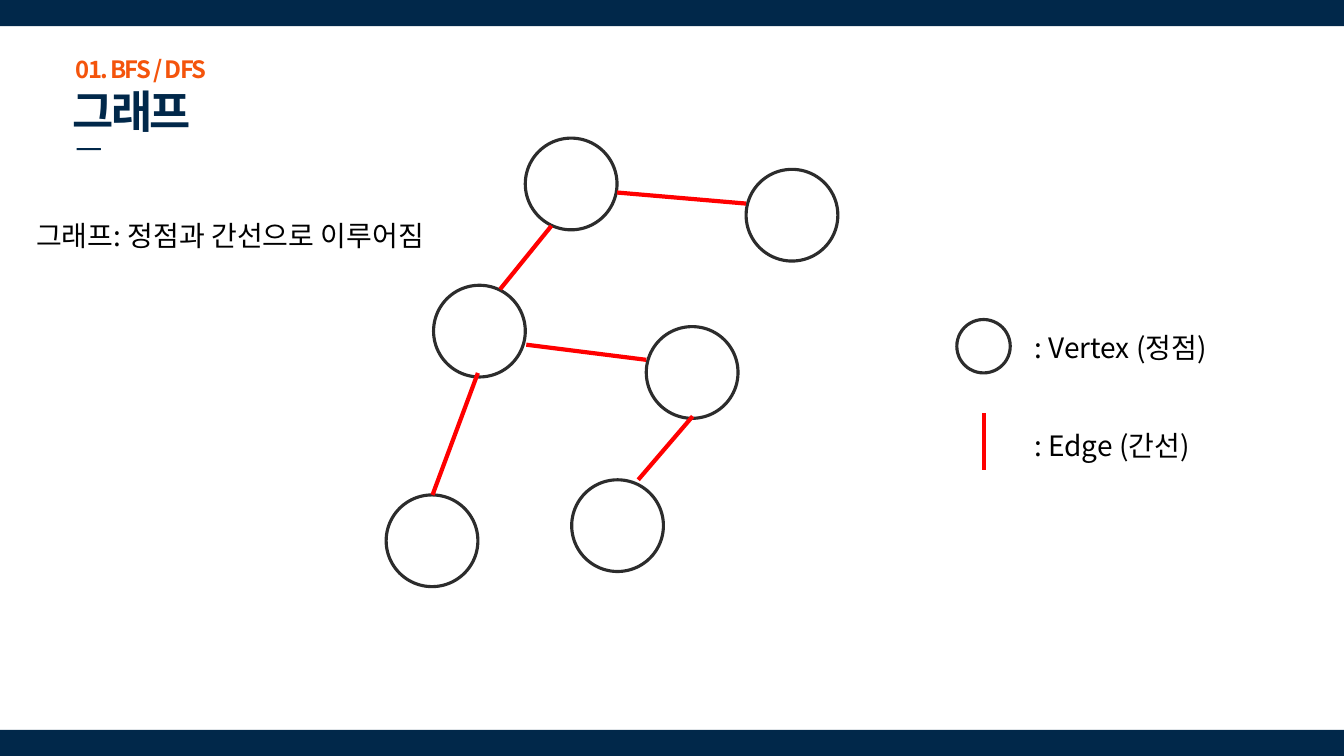
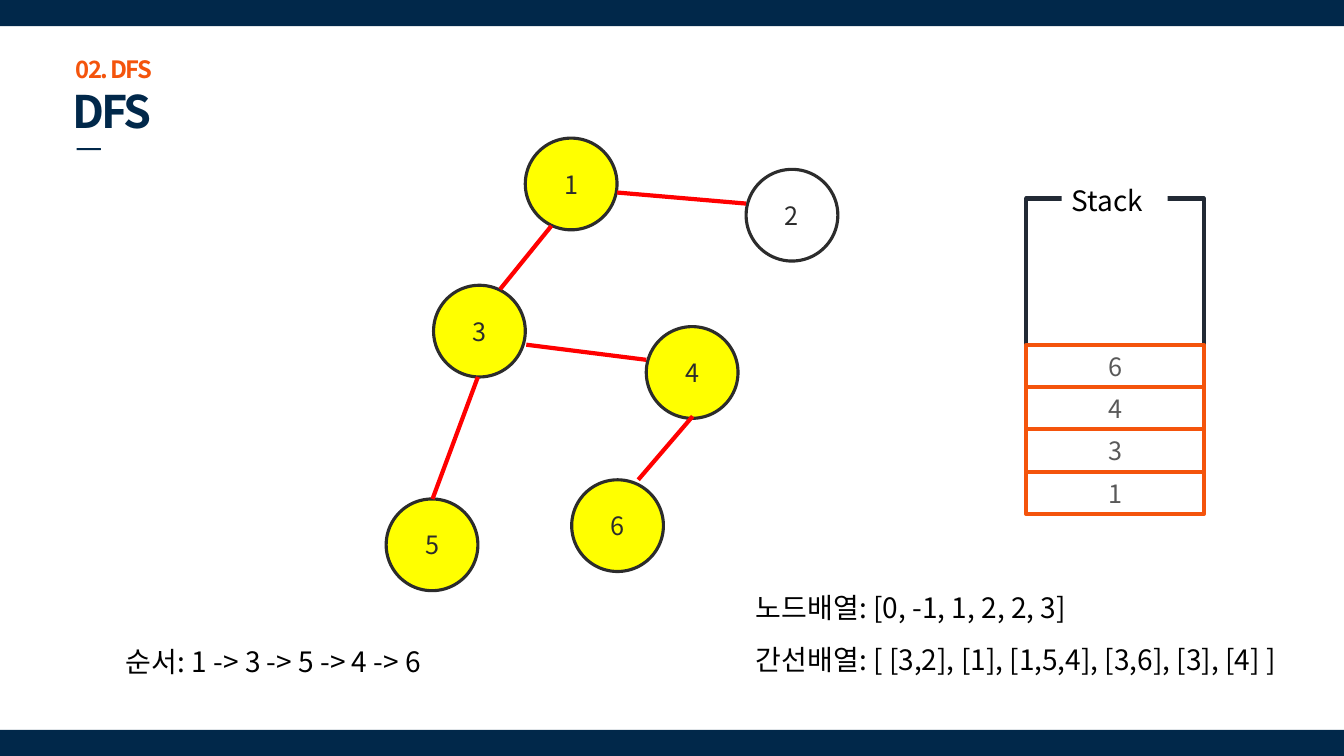
import pptx
import pptx.util
import pptx.dml.color
import pptx.enum.shapes
import pptx.enum.text
import pptx.oxml.ns
import lxml.etree

Inches = pptx.util.Inches
Pt = pptx.util.Pt
RGBColor = pptx.dml.color.RGBColor
SHAPE = pptx.enum.shapes.MSO_SHAPE
ALIGN = pptx.enum.text.PP_ALIGN
ANCHOR = pptx.enum.text.MSO_ANCHOR
qn = pptx.oxml.ns.qn

NAVY = RGBColor(0x01, 0x28, 0x4A)
ORANGE = RGBColor(0xF4, 0x54, 0x0C)
INK = RGBColor(0x2C, 0x2C, 0x2C)
GREY = RGBColor(0x59, 0x59, 0x59)
SLATE = RGBColor(0x22, 0x2A, 0x35)
RED = RGBColor(0xFF, 0x00, 0x00)
YELLOW = RGBColor(0xFF, 0xFF, 0x00)
WHITE = RGBColor(0xFF, 0xFF, 0xFF)
BLACK = RGBColor(0x00, 0x00, 0x00)

FONT = "Noto Sans CJK KR"
WIDTH, HEIGHT, BAND = 13.33, 7.5, 0.26
NODE = 0.91

# Top left corner of each vertex, by number
VERTICES = {1: (5.21, 1.37), 2: (7.4, 1.68), 3: (4.3, 2.83),
            4: (6.41, 3.24), 5: (3.83, 4.91), 6: (5.67, 4.76)}
EDGES = [((5.47, 2.24), (4.96, 2.87)), ((5.22, 3.42), (6.41, 3.57)),
         ((6.12, 1.91), (7.4, 2.02)), ((6.33, 4.76), (6.87, 4.13))]
LOW_EDGE = ((4.74, 3.7), (4.29, 4.91))


class Deck:
    """Holds the presentation, its style and the slide being built."""

    def __init__(self):
        self.prs = pptx.Presentation()
        self.prs.slide_width = Inches(WIDTH)
        self.prs.slide_height = Inches(HEIGHT)
        self.s = None

    def new_slide(self, section, title):
        self.s = self.prs.slides.add_slide(self.prs.slide_layouts[1])
        for top in (0, HEIGHT - BAND):
            self.shape(SHAPE.RECTANGLE, (0, top, WIDTH, BAND), NAVY)
        self.shape(SHAPE.ROUNDED_RECTANGLE, (0.76, 1.47, 0.24, 0.02), NAVY)
        heading, body = self.s.placeholders
        self.placeholder(body, (0.75, 0.57, 11.87, 0.66), section, 17, ORANGE, -1.2, ANCHOR.TOP)
        self.placeholder(heading, (0.72, 0.89, 11.89, 0.48), title, 32, NAVY, -2, ANCHOR.MIDDLE)

    def place(self, sp, box):
        sp.left, sp.top, sp.width, sp.height = map(Inches, box)

    def run(self, p, text, size, color):
        r = p.add_run()
        r.text = text
        r.font.size = Pt(size)
        r.font.name = FONT
        r.font.color.rgb = color
        latin = r.font._element.find(qn("a:latin"))
        ea = lxml.etree.Element(qn("a:ea"), typeface=FONT)
        latin.addnext(ea)
        return r

    def placeholder(self, sp, box, text, size, color, spacing, anchor):
        self.place(sp, box)
        tf = sp.text_frame
        tf.auto_size = pptx.enum.text.MSO_AUTO_SIZE.NONE
        tf.vertical_anchor = anchor
        tf.margin_left = tf.margin_right = tf.margin_top = tf.margin_bottom = 0
        p = tf.paragraphs[0]
        p.alignment = ALIGN.LEFT
        p.line_spacing = 0.9
        p.space_before = Pt(10)
        r = self.run(p, text, size, color)
        r.font.bold = True
        r.font._element.set("spc", str(round(spacing * 100)))
        pPr = p._p.get_or_add_pPr()
        pPr.set("marL", "0")
        pPr.set("indent", "0")
        lxml.etree.SubElement(pPr, qn("a:buNone"))

    def shape(self, kind, box, fill=None, line=None, weight=0, text="", color=INK):
        sp = self.s.shapes.add_shape(kind, *map(Inches, box))
        sp.shadow.inherit = False
        if fill is None:
            sp.fill.background()
        else:
            sp.fill.solid()
            sp.fill.fore_color.rgb = fill
        if line is None:
            sp.line.fill.background()
        else:
            sp.line.color.rgb = line
            sp.line.width = Pt(weight)
        if text:
            tf = sp.text_frame
            tf.vertical_anchor = ANCHOR.MIDDLE
            p = tf.paragraphs[0]
            p.alignment = ALIGN.CENTER
            self.run(p, text, 18, color)

    def circle(self, left, top, size, fill=None, text=""):
        self.shape(SHAPE.OVAL, (left, top, size, size), fill, INK, 2.25, text)

    def text(self, left, top, width, text, fill=None):
        sp = self.s.shapes.add_textbox(*map(Inches, (left, top, width, 0.44)))
        if fill is not None:
            sp.fill.solid()
            sp.fill.fore_color.rgb = fill
        tf = sp.text_frame
        tf.word_wrap = True
        self.run(tf.paragraphs[0], text, 20, BLACK)

    def edge(self, start, end):
        line = self.s.shapes.add_connector(
            pptx.enum.shapes.MSO_CONNECTOR.STRAIGHT, *map(Inches, start + end))
        line.line.color.rgb = RED
        line.line.width = Pt(3)
        lxml.etree.SubElement(line.element.spPr, qn("a:effectLst"))

    def graph(self, visited=(), numbered=False, drop=0):
        """Draw the graph; drop lowers vertex 5 and the edge that leads to it."""
        for number, (left, top) in VERTICES.items():
            self.circle(left, top + (drop if number == 5 else 0), NODE,
                        YELLOW if number in visited else None,
                        str(number) if numbered else "")
        for start, end in EDGES:
            self.edge(start, end)
        self.edge(*((x, y + drop) for x, y in LOW_EDGE))

    def stack(self, values):
        """Draw the stack with its values, listed from the bottom up."""
        left, width, cell, bottom = 10.18, 1.76, 0.42, 5.1
        self.shape(SHAPE.RECTANGLE, (left, 1.97, width, 3.1), WHITE, SLATE, 3)
        self.text(10.53, 1.77, 1.05, "Stack", WHITE)
        for level, value in enumerate(values, 1):
            self.shape(SHAPE.RECTANGLE, (left, bottom - level * cell, width, cell),
                       WHITE, ORANGE, 3, str(value), GREY)


def main():
    deck = Deck()

    deck.new_slide("01. BFS / DFS", "그래프")
    deck.text(0.26, 2.12, 4.05, "그래프: 정점과 간선으로 이루어짐")
    deck.graph()
    deck.circle(9.49, 3.17, 0.53)
    deck.text(10.16, 3.23, 2.17, ": Vertex (정점)")
    deck.edge((9.76, 4.1), (9.76, 4.66))
    deck.text(10.16, 4.2, 1.93, ": Edge (간선)")

    deck.new_slide("02. DFS", "DFS")
    deck.graph(visited=(1, 3, 4, 5, 6), numbered=True, drop=0.04)
    deck.text(1.15, 6.34, 3.69, "순서: 1 -> 3 -> 5 -> 4 -> 6")
    deck.text(7.4, 5.81, 3.56, "노드배열: [0, -1, 1, 2, 2, 3]")
    deck.stack([1, 3, 4, 6])
    deck.text(7.4, 6.32, 5.96, "간선배열: [ [3,2], [1], [1,5,4], [3,6], [3], [4] ]")

    deck.prs.save("out.pptx")


if __name__ == "__main__":
    main()
